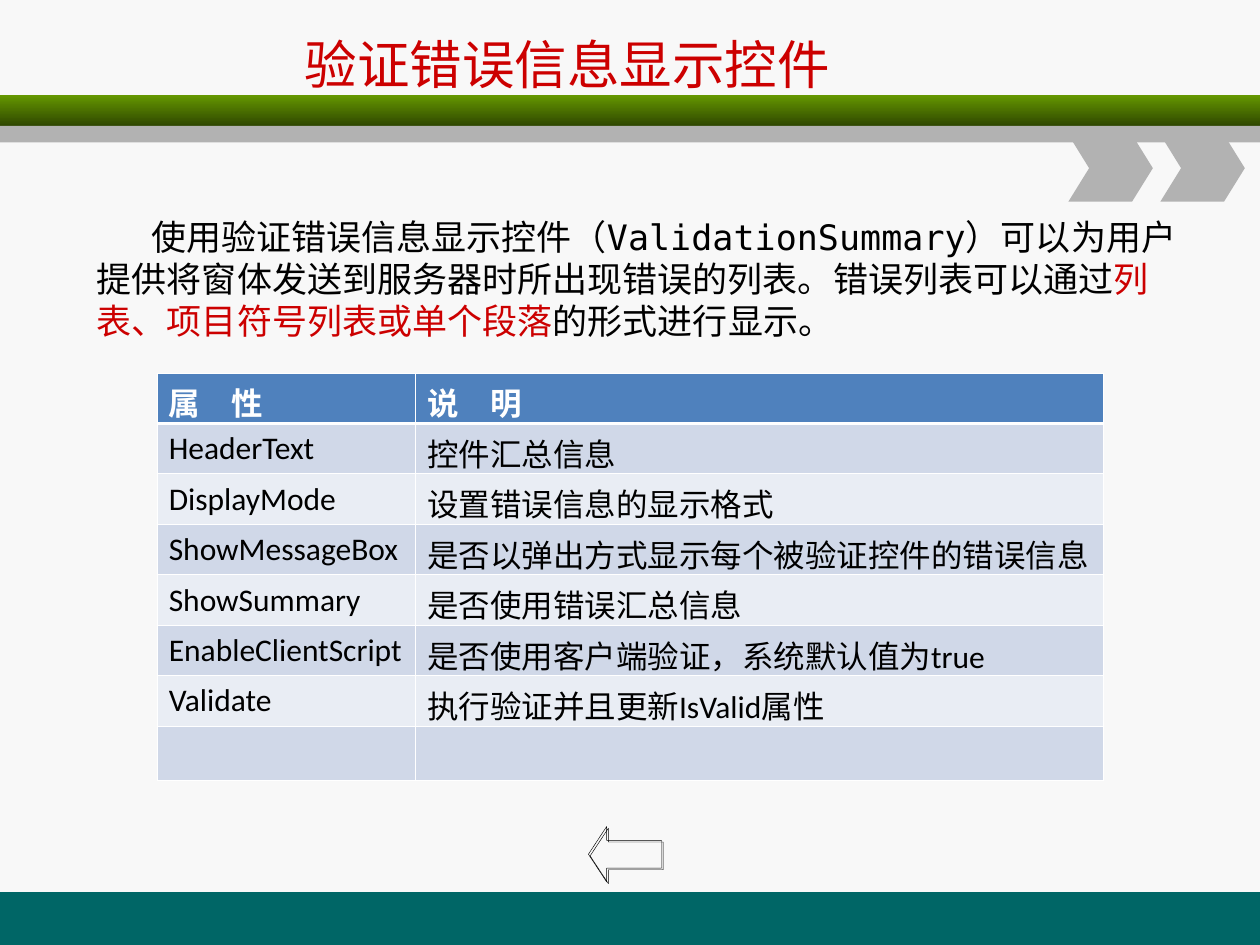
from dataclasses import dataclass

from lxml.etree import SubElement
from pptx import Presentation
from pptx.dml.color import RGBColor
from pptx.enum.shapes import MSO_SHAPE as Preset
from pptx.enum.text import MSO_ANCHOR as Anchor
from pptx.oxml.ns import qn
from pptx.util import Inches, Pt


@dataclass(frozen=True)
class Theme:
    background: str = "F8F8F8"
    teal: str = "006666"
    green: str = "669900"
    dark_green: str = "2F4700"
    gray: str = "B2B2B2"
    red: str = "CC0000"
    black: str = "000000"
    white: str = "FFFFFF"
    header: str = "4F81BD"
    bands: tuple = ("D0D8E8", "E9EDF4")
    title_font: str = "DejaVu Sans"
    body_font: str = "DejaVu Sans Mono"
    table_font: str = "Calibri"
    title_size: int = 30
    body_size: int = 20
    table_size: int = 18


THEME = Theme()

INTRO = [
    ("使用验证错误信息显示控件（ValidationSummary）可以为用户提供将窗体发送到服务器时"
     "所出现错误的列表。错误列表可以通过", THEME.black),
    ("列表、项目符号列表或单个段落", THEME.red),
    ("的形式进行显示。", THEME.black),
]
PROPERTIES = [
    ("属　性", "说　明"),
    ("HeaderText", "控件汇总信息"),
    ("DisplayMode", "设置错误信息的显示格式"),
    ("ShowMessageBox", "是否以弹出方式显示每个被验证控件的错误信息"),
    ("ShowSummary", "是否使用错误汇总信息"),
    ("EnableClientScript", "是否使用客户端验证，系统默认值为true"),
    ("Validate", "执行验证并且更新IsValid属性"),
    ("", ""),
]


def rgb(color):
    return RGBColor.from_string(color)


def style_font(font, name, size, color, bold=False):
    font.name = name
    font.size = Pt(size)
    font.color.rgb = rgb(color)
    font.bold = bold


def add_block(slide, preset, box, color):
    block = slide.shapes.add_shape(preset, *map(Inches, box))
    block.shadow.inherit = False
    block.line.fill.background()
    block.fill.solid()
    block.fill.fore_color.rgb = rgb(color)
    return block


def add_header_band(slide, box):
    left, top, width, height = box
    green_height = 0.25
    green_bar = add_block(slide, Preset.RECTANGLE,
                          (left, top, width, green_height), THEME.green)
    green_bar.fill.gradient()
    green_bar.fill.gradient_angle = 270
    for stop, color in zip(green_bar.fill.gradient_stops, (THEME.green, THEME.dark_green)):
        stop.color.rgb = rgb(color)
    add_block(slide, Preset.RECTANGLE,
              (left, top + green_height, width, height - green_height), THEME.gray)


def add_chevrons(slide, box, count=2):
    left, top, width, height = box
    chevron_width = 0.67
    step = (width - chevron_width) / (count - 1)
    for index in range(count):
        chevron = add_block(slide, Preset.CHEVRON,
                            (left + index * step, top, chevron_width, height), THEME.gray)
        chevron.adjustments[0] = 0.31


def add_back_arrow(slide, box):
    arrow = add_block(slide, Preset.LEFT_ARROW, box, THEME.white)
    arrow.adjustments[0] = 0.5
    arrow.adjustments[1] = 0.33
    arrow.fill.background()
    arrow.line.color.rgb = rgb(THEME.black)
    arrow.line.width = Pt(0.25)
    effects = arrow._element.spPr.find(qn("a:effectLst"))
    shadow = SubElement(effects, qn("a:outerShdw"), dist=str(Pt(1.4)),
                        dir=str(45 * 60000), algn="ctr", rotWithShape="0")
    SubElement(shadow, qn("a:srgbClr"), val=THEME.black)


def add_text_frame(slide, box, anchor):
    frame = slide.shapes.add_textbox(*map(Inches, box)).text_frame
    frame.word_wrap = True
    frame.vertical_anchor = anchor
    return frame


def add_title(slide, box):
    frame = add_text_frame(slide, box, Anchor.MIDDLE)
    frame.text = "验证错误信息显示控件"
    style_font(frame.paragraphs[0].runs[0].font,
               THEME.title_font, THEME.title_size, THEME.red)


def add_intro(slide, box):
    paragraph = add_text_frame(slide, box, Anchor.TOP).paragraphs[0]
    paragraph._p.get_or_add_pPr().set("indent", str(Inches(0.43)))
    for text, color in INTRO:
        run = paragraph.add_run()
        run.text = text
        style_font(run.font, THEME.body_font, THEME.body_size, color)


def add_borders(cell, widths):
    properties = cell._tc.get_or_add_tcPr()
    for side, width in widths.items():
        border = SubElement(properties, qn(f"a:ln{side}"), w=str(Pt(width)))
        fill = SubElement(border, qn("a:solidFill"))
        SubElement(fill, qn("a:srgbClr"), val=THEME.white)


def add_property_table(slide, box):
    thin, thick = 0.45, 1.47
    table = slide.shapes.add_table(len(PROPERTIES), 2, *map(Inches, box)).table
    name_width = 2.05
    table.columns[0].width = Inches(name_width)
    table.columns[1].width = Inches(box[2] - name_width)
    for row, texts in enumerate(PROPERTIES):
        is_header = row == 0
        table.rows[row].height = Inches(0.4 if any(texts) else 0.43)
        for column, text in enumerate(texts):
            cell = table.cell(row, column)
            cell.margin_left = Inches(0.09)
            cell.margin_right = Inches(0.03)
            add_borders(cell, {"L": thin, "R": thin,
                               "T": thick if row == 1 else thin,
                               "B": thick if is_header else thin})
            cell.fill.solid()
            cell.fill.fore_color.rgb = rgb(
                THEME.header if is_header else THEME.bands[(row - 1) % 2])
            cell.text_frame.text = text
            paragraph = cell.text_frame.paragraphs[0]
            for target in paragraph.runs or [paragraph]:
                style_font(target.font, THEME.table_font, THEME.table_size,
                           THEME.white if is_header else THEME.black, is_header)


def main():
    deck = Presentation()
    deck.slide_width, deck.slide_height = Inches(10), Inches(7.5)
    slide = deck.slides.add_slide(deck.slide_layouts[6])
    slide.background.fill.solid()
    slide.background.fill.fore_color.rgb = rgb(THEME.background)

    add_block(slide, Preset.RECTANGLE, (0, 7.08, 10, 0.42), THEME.teal)
    add_header_band(slide, (0, 0.75, 10, 0.38))
    add_chevrons(slide, (8.48, 1.07, 1.4, 0.53))
    add_back_arrow(slide, (4.67, 6.56, 0.58, 0.44))
    add_title(slide, (2.32, 0.17, 5.25, 0.67))
    add_intro(slide, (0.67, 1.66, 8.82, 1.1))
    add_property_table(slide, (1.25, 2.96, 7.51, 3.2))
    deck.save("out.pptx")


if __name__ == "__main__":
    main()
